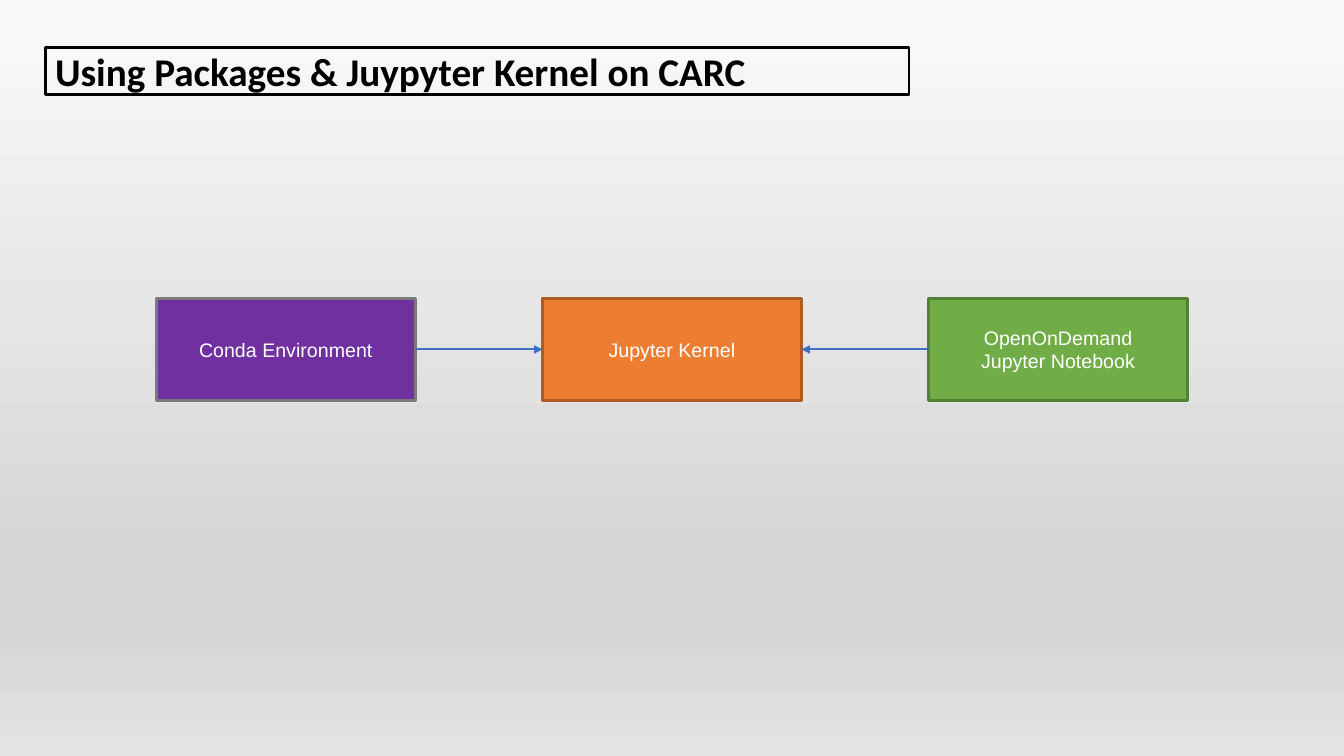
from lxml import etree
from pptx import Presentation
from pptx.dml.color import RGBColor
from pptx.enum.shapes import MSO_CONNECTOR, MSO_SHAPE
from pptx.enum.text import MSO_ANCHOR, PP_ALIGN
from pptx.oxml.ns import qn
from pptx.util import Cm, Pt

RECTANGLE = MSO_SHAPE.RECTANGLE
STRAIGHT = MSO_CONNECTOR.STRAIGHT
MIDDLE = MSO_ANCHOR.MIDDLE
LEFT, CENTER = PP_ALIGN.LEFT, PP_ALIGN.CENTER
LEFT_SIDE, RIGHT_SIDE = 1, 3

SLIDE_WIDTH, SLIDE_HEIGHT = Cm(33.87), Cm(19.05)
COLORS = {
    "black": "000000", "white": "FFFFFF", "arrow": "3F6FC3",
    "purple": "7030A0", "purple edge": "7A7A7A",
    "orange": "ED7D31", "orange edge": "AF5C24",
    "green": "70AD47", "green edge": "538035",
}
BACKGROUND_STOPS = [(0, "FAFAFA"), (74, "D6D6D6"), (83, "D6D6D6"), (100, "E3E3E3")]
STAGES = [
    (["Conda Environment"], "purple"),
    (["Jupyter Kernel"], "orange"),
    (["OpenOnDemand", "Jupyter Notebook"], "green"),
]


def color(name):
    return RGBColor.from_string(COLORS[name])


def paint_background(slide):
    fill = slide.background.fill
    fill.gradient()
    fill.gradient_angle = 270
    stop_list = next(slide.element.iter(qn("a:gsLst")))
    for stop in list(stop_list):
        stop_list.remove(stop)
    for percent, value in BACKGROUND_STOPS:
        stop = etree.SubElement(stop_list, qn("a:gs"), pos=str(percent * 1000))
        etree.SubElement(stop, qn("a:srgbClr"), val=value)


def add_box(slide, box, lines, fill, edge, text_color, font_name, size,
            bold=False, align=CENTER):
    """Add an outlined rectangle with one paragraph per line of text."""
    shape = slide.shapes.add_shape(RECTANGLE, *box)
    shape.shadow.inherit = False
    if fill:
        shape.fill.solid()
        shape.fill.fore_color.rgb = color(fill)
    else:
        shape.fill.background()
    shape.line.color.rgb = color(edge)
    shape.line.width = Pt(2)
    frame = shape.text_frame
    frame.word_wrap = True
    frame.vertical_anchor = MIDDLE
    for index, line in enumerate(lines):
        paragraph = frame.add_paragraph() if index else frame.paragraphs[0]
        paragraph.alignment = align
        run = paragraph.add_run()
        run.text = line
        run.font.name = font_name
        run.font.size = Pt(size)
        run.font.bold = bold
        run.font.color.rgb = color(text_color)
    return shape


def add_arrow(slide, start, start_side, end, end_side):
    arrow = slide.shapes.add_connector(STRAIGHT, 0, 0, 0, 0)
    arrow.begin_connect(start, start_side)
    arrow.end_connect(end, end_side)
    arrow.line.color.rgb = color("arrow")
    arrow.line.width = Pt(1.5)
    line = next(arrow.element.iter(qn("a:ln")))
    etree.SubElement(line, qn("a:tailEnd"), type="triangle")
    etree.SubElement(line.getparent(), qn("a:effectLst"))


def add_title(slide, box):
    add_box(slide, box, ["Using Packages & Juypyter Kernel on CARC"], None,
            "black", "black", "Calibri", 28, bold=True, align=LEFT)


def add_flow(slide, left, top, width, height):
    """Spread the stages across the region and point the outer ones inwards."""
    stage_width = Cm(6.53)
    pitch = (width - stage_width) // (len(STAGES) - 1)
    environment, kernel, notebook = [
        add_box(slide, (left + index * pitch, top, stage_width, height), lines,
                fill, f"{fill} edge", "white", "Arial", 14)
        for index, (lines, fill) in enumerate(STAGES)
    ]
    add_arrow(slide, environment, RIGHT_SIDE, kernel, LEFT_SIDE)
    add_arrow(slide, notebook, LEFT_SIDE, kernel, RIGHT_SIDE)


def main():
    presentation = Presentation()
    presentation.slide_width = SLIDE_WIDTH
    presentation.slide_height = SLIDE_HEIGHT
    slide = presentation.slides.add_slide(presentation.slide_layouts[6])
    paint_background(slide)
    add_title(slide, (Cm(1.14), Cm(1.19), Cm(21.77), Cm(1.19)))
    flow_left = Cm(3.94)
    add_flow(slide, flow_left, Cm(7.52), SLIDE_WIDTH - 2 * flow_left, Cm(2.57))
    presentation.save("out.pptx")


if __name__ == "__main__":
    main()
